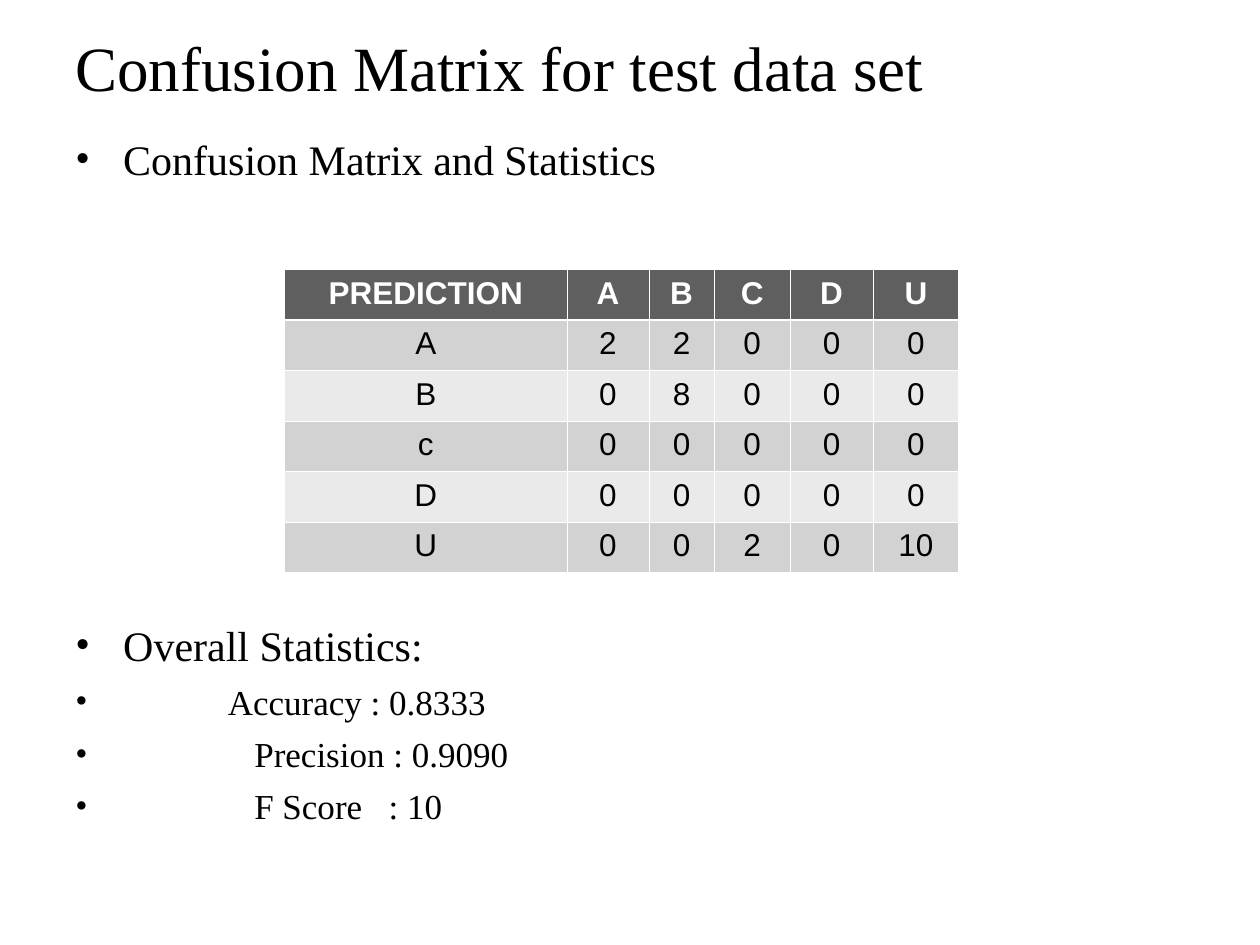
from dataclasses import dataclass
from lxml.etree import SubElement as Sub
from pptx import Presentation
from pptx.dml.color import RGBColor as RGB
from pptx.enum.text import MSO_ANCHOR as Anchor, PP_ALIGN as Align
from pptx.oxml.ns import qn
from pptx.util import Inches, Pt


@dataclass(frozen=True)
class Theme:
    serif: str = "Times New Roman"
    sans: str = "Arial"
    ink: str = "000000"
    white: str = "FFFFFF"
    head: str = "5F5F5F"
    bands: tuple = ("D2D2D2", "EAEAEA")
    title: int = 36
    body: int = 24
    stat: int = 20
    cell: int = 18
    thin: float = 0.45
    thick: float = 1.47


THEME = Theme()
HEADS = ["PREDICTION", "A", "B", "C", "D", "U"]
ROWS = [
    ["A", 2, 2, 0, 0, 0],
    ["B", 0, 8, 0, 0, 0],
    ["c", 0, 0, 0, 0, 0],
    ["D", 0, 0, 0, 0, 0],
    ["U", 0, 0, 2, 0, 10],
]
WIDTHS = [2.24, 0.65, 0.52, 0.6, 0.66, 0.68]
POINTS = [
    (["Confusion Matrix and Statistics"], THEME.body, 0.38, 6),
    (["Overall Statistics:"], THEME.body, 0.38, 249),
    (["Accuracy : 0.8333"], THEME.stat, 1.21, 5.8),
    (["Precision : 0.9090"], THEME.stat, 1.42, 5.8),
    (["F Score", " ", ": 10"], THEME.stat, 1.42, 5.8),
]


def add_run(para, text, size, font=THEME.serif, color=THEME.ink, bold=False):
    run = para.add_run()
    run.text = text
    run.font.size = Pt(size)
    run.font.name = font
    run.font.bold = bold
    run.font.color.rgb = RGB.from_string(color)
    return run


def add_frame(slide, box):
    frame = slide.shapes.add_textbox(*map(Inches, box)).text_frame
    frame.word_wrap = True
    return frame


def add_title(slide, box):
    frame = add_frame(slide, box)
    frame.vertical_anchor = Anchor.MIDDLE
    add_run(frame.paragraphs[0], "Confusion Matrix for test data set", THEME.title)


def set_bullet(para, indent):
    props = para._p.get_or_add_pPr()
    props.set("marL", str(Inches(indent)))
    props.set("indent", str(-Inches(indent)))
    color = Sub(props, qn("a:buClr"))
    Sub(color, qn("a:srgbClr"), val=THEME.ink)
    Sub(props, qn("a:buFont"), typeface=THEME.serif)
    Sub(props, qn("a:buChar"), char="•")


def add_points(slide, box):
    frame = add_frame(slide, box)
    for i, (parts, size, indent, gap) in enumerate(POINTS):
        para = frame.add_paragraph() if i else frame.paragraphs[0]
        para.space_before = Pt(gap)
        set_bullet(para, indent)
        for part in parts:
            run = add_run(para, part, size)
            if part == " ":
                run.font._element.set("spc", "1000")


def set_border(cell, sides):
    props = cell._tc.get_or_add_tcPr()
    for side, width in sides.items():
        line = Sub(props, qn(f"a:ln{side}"), w=str(Pt(width)))
        fill = Sub(line, qn("a:solidFill"))
        Sub(fill, qn("a:srgbClr"), val=THEME.white)


def add_matrix(slide, box):
    rows = [HEADS, *ROWS]
    table = slide.shapes.add_table(len(rows), len(HEADS), *map(Inches, box)).table
    for col, width in zip(table.columns, WIDTHS):
        col.width = Inches(width)
    for r, row in enumerate(rows):
        table.rows[r].height = Inches(box[3] / len(rows))
        top = r == 0
        sides = dict.fromkeys("LRTB", THEME.thin)
        if r < 2:
            sides["B" if top else "T"] = THEME.thick
        shade = THEME.head if top else THEME.bands[(r - 1) % 2]
        color = THEME.white if top else THEME.ink
        for c, value in enumerate(row):
            cell = table.cell(r, c)
            set_border(cell, sides)
            cell.fill.solid()
            cell.fill.fore_color.rgb = RGB.from_string(shade)
            para = cell.text_frame.paragraphs[0]
            para.alignment = Align.CENTER
            add_run(para, str(value), THEME.cell, THEME.sans, color, top)


def main():
    deck = Presentation()
    deck.slide_width, deck.slide_height = Inches(10), Inches(7.5)
    slide = deck.slides.add_slide(deck.slide_layouts[6])
    add_title(slide, (0.5, 0.21, 9, 0.64))
    add_points(slide, (0.5, 1.01, 9.16, 5.69))
    add_matrix(slide, (2.26, 2.14, 5.35, 2.4))
    deck.save("out.pptx")


if __name__ == "__main__":
    main()
